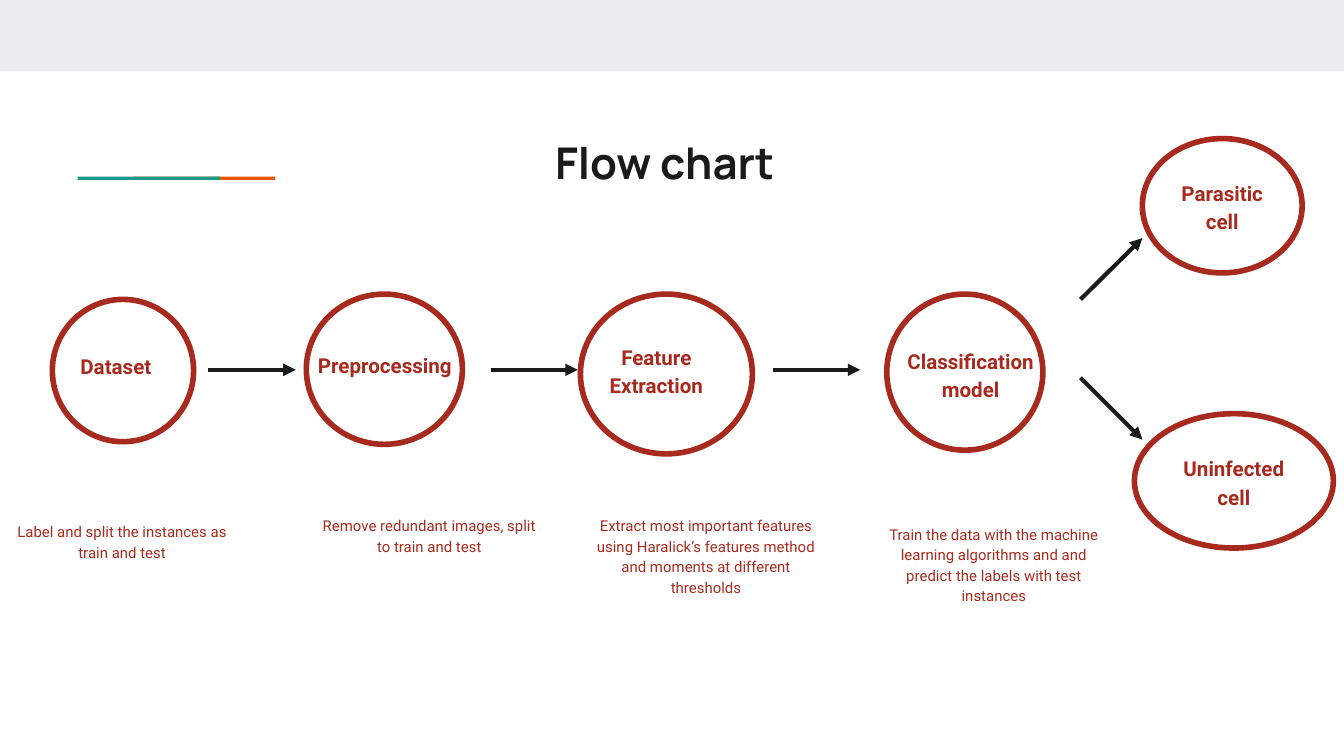
from lxml import etree
from pptx import Presentation
from pptx.dml.color import RGBColor
from pptx.enum import shapes, text
from pptx.oxml.ns import qn
from pptx.util import Cm, Pt

COLORS = {"band": "E9EDEE", "orange": "EB5600", "teal": "1A9988",
          "ink": "1A1A1A", "red": "A72A1E"}
CENTER, LEFT = text.PP_ALIGN.CENTER, text.PP_ALIGN.LEFT

# Content; boxes are left, top, width, height in cm
TITLE = "Flow chart"
BARS = [("band", (0, 0, 25.4, 1.35)),
        ("orange", (2.51, 3.34, 2.69, 0.06)),
        ("teal", (1.47, 3.34, 2.69, 0.06))]
# label, alignment, circle box, label box, caption, caption box
STEPS = [
    ("Dataset", LEFT, (0.99, 5.66, 2.67, 2.69), (1.27, 6.38, 2.08, 1.65),
     "Label and split the instances as train and test",
     (0, 9.58, 4.62, 2.16)),
    ("Preprocessing", CENTER, (5.79, 5.56, 2.95, 2.84), (5.74, 6.35, 3.07, 0.86),
     "Remove redundant images, split to train and test",
     (5.74, 9.47, 4.75, 2.36)),
    ("Feature Extraction", CENTER, (10.97, 5.56, 3.25, 3.02), (10.64, 6.2, 3.53, 0.86),
     "Extract most important features using Haralick’s features method "
     "and moments at different thresholds",
     (10.97, 9.47, 4.75, 2.36)),
    ("Classification model", CENTER, (16.76, 5.56, 2.95, 2.95), (16.81, 6.27, 3.07, 0.86),
     "Train the data with the machine learning algorithms and and "
     "predict the labels with test instances",
     (16.41, 9.63, 4.75, 2.21)),
]
RESULTS = [("Parasitic cell", (21.59, 2.62, 3.02, 2.54)),
           ("Uninfected cell", (21.44, 7.82, 3.76, 2.54))]
STEP_ARROWS = [3.94, 9.27, 14.61]
ARROW_Y, ARROW_LENGTH = 6.99, 1.65
RESULT_ARROWS = [(20.42, 5.66, 21.59, 4.5), (20.42, 7.14, 21.59, 8.31)]


def rgb(name):
    return RGBColor.from_string(COLORS[name])


def cm(box):
    return [Cm(v) for v in box]


def write(sp, words, size, bold=False, align=CENTER, color="red", font="Roboto",
          anchor=text.MSO_ANCHOR.TOP, spacing=1.15, after=16):
    tf = sp.text_frame
    tf.word_wrap = True
    tf.auto_size = text.MSO_AUTO_SIZE.NONE
    tf.vertical_anchor = anchor
    tf.margin_left = tf.margin_right = tf.margin_top = tf.margin_bottom = Cm(0.25)
    p = tf.paragraphs[0]
    p.alignment, p.line_spacing, p.space_after = align, spacing, Pt(after)
    r = p.add_run()
    r.text = words
    r.font.name, r.font.size, r.font.bold = font, Pt(size), bold
    r.font.color.rgb = rgb(color)


def add_bar(s, color, box):
    sp = s.shapes.add_shape(shapes.MSO_SHAPE.RECTANGLE, *cm(box))
    sp.shadow.inherit = False
    sp.fill.solid()
    sp.fill.fore_color.rgb = rgb(color)
    sp.line.fill.background()


def add_ellipse(s, box):
    sp = s.shapes.add_shape(shapes.MSO_SHAPE.OVAL, *cm(box))
    sp.shadow.inherit = False
    sp.fill.background()
    sp.line.color.rgb = rgb("red")
    sp.line.width = Pt(3)
    return sp


def add_arrow(s, ends):
    line = s.shapes.add_connector(shapes.MSO_CONNECTOR.STRAIGHT, *cm(ends))
    line.line.color.rgb = rgb("ink")
    line.line.width = Pt(2.25)
    etree.SubElement(line.line._get_or_add_ln(), qn("a:tailEnd"), type="triangle")
    etree.SubElement(line._element.spPr, qn("a:effectLst"))


def main():
    prs = Presentation()
    prs.slide_width, prs.slide_height = Cm(25.4), Cm(14.29)
    s = prs.slides.add_slide(prs.slide_layouts[5])

    # Top band and accent bars
    for color, box in BARS:
        add_bar(s, color, box)

    # Title
    title = s.shapes.title
    title.left, title.top, title.width, title.height = cm((1.88, 2.31, 21.36, 1.5))
    write(title, TITLE, 23.4, bold=True, color="ink", font="Manrope",
          spacing=1, after=0)

    # Steps with captions
    for label, align, circle, label_box, caption, caption_box in STEPS:
        add_ellipse(s, circle)
        write(s.shapes.add_textbox(*cm(caption_box)), caption, 8)
        write(s.shapes.add_textbox(*cm(label_box)), label, 11, bold=True, align=align)

    # Arrows
    for x in STEP_ARROWS:
        add_arrow(s, (x, ARROW_Y, x + ARROW_LENGTH, ARROW_Y))
    for ends in RESULT_ARROWS:
        add_arrow(s, ends)

    # Results
    for label, box in RESULTS:
        write(add_ellipse(s, box), label, 11, bold=True,
              anchor=text.MSO_ANCHOR.MIDDLE)

    prs.save("out.pptx")


if __name__ == "__main__":
    main()
